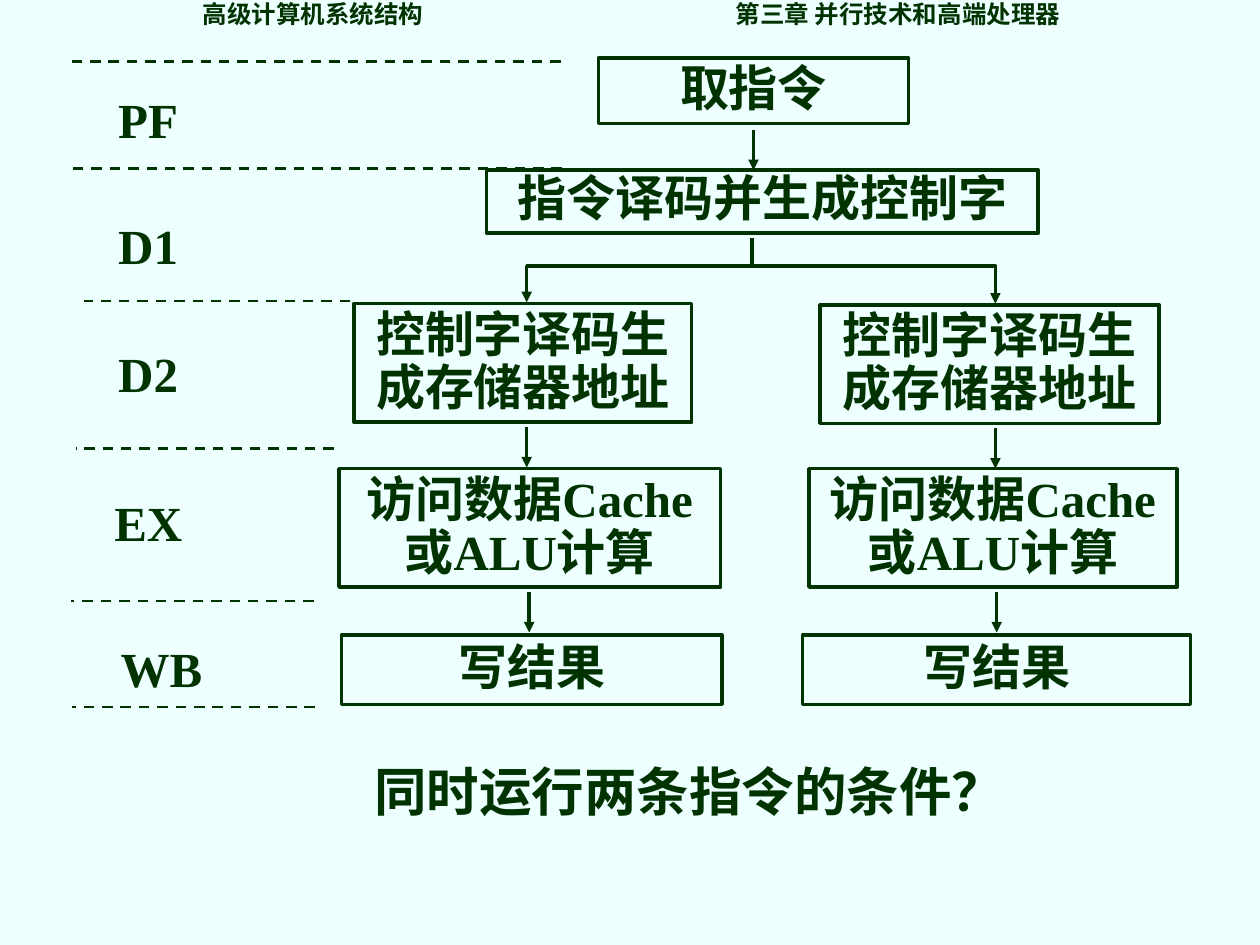
from dataclasses import dataclass
from lxml.etree import SubElement
from pptx import Presentation
from pptx.dml.color import RGBColor
from pptx.enum.dml import MSO_LINE
from pptx.enum.shapes import MSO_CONNECTOR, MSO_SHAPE
from pptx.enum.text import MSO_ANCHOR, MSO_AUTO_SIZE, PP_ALIGN
from pptx.oxml.ns import qn
from pptx.util import Inches, Pt


@dataclass(frozen=True)
class Theme:
    ink: RGBColor = RGBColor(0x00, 0x33, 0x00)
    back: RGBColor = RGBColor(0xED, 0xFF, 0xFF)
    latin: str = "Times New Roman"
    asian: str = "Noto Sans CJK SC"
    body: float = 28
    title: float = 30
    head: float = 14
    line: float = 2
    rule: float = 1.5


COLS, ROWS = 100, 75


def put(item, form):
    for name, value in form.items():
        setattr(item, name, value)


class Sheet:
    """Draws on one slide; lengths are grid columns and rows."""

    def __init__(self, deck, theme):
        self.theme = theme
        self.wide, self.high = deck.slide_width, deck.slide_height
        self.slide = deck.slides.add_slide(deck.slide_layouts[5])
        fill = self.slide.background.fill
        fill.solid()
        fill.fore_color.rgb = theme.back

    def spot(self, col, row):
        return round(col * self.wide / COLS), round(row * self.high / ROWS)

    def area(self, at):
        return *self.spot(*at[:2]), *self.spot(*at[2:])

    def letter(self, shape, text, size, align=PP_ALIGN.LEFT, gap=1.0,
               latin=None, wrap=True, tab=None):
        frame = shape.text_frame
        put(frame, {"word_wrap": wrap, "vertical_anchor": MSO_ANCHOR.TOP,
                    "auto_size": MSO_AUTO_SIZE.SHAPE_TO_FIT_TEXT})
        para = frame.paragraphs[0]
        put(para, {"alignment": align, "line_spacing": gap, "space_before": Pt(0)})
        if tab:
            stops = SubElement(para._p.get_or_add_pPr(), qn("a:tabLst"))
            SubElement(stops, qn("a:tab"), pos=str(self.spot(tab, 0)[0]), algn="l")
        run = para.add_run()
        run.text = text
        put(run.font, {"size": Pt(size), "bold": True,
                       "name": latin or self.theme.latin})
        run.font.color.rgb = self.theme.ink
        SubElement(run._r.get_or_add_rPr(), qn("a:ea"), typeface=self.theme.asian)

    def stroke(self, shape, width, ends=(), dash=None):
        put(shape.line, {"width": Pt(width), "dash_style": dash})
        shape.line.color.rgb = self.theme.ink
        for end in ends:
            SubElement(shape.line._get_or_add_ln(), qn(f"a:{end}"), type="triangle")

    def title(self, at, text):
        shape = self.slide.shapes.title
        put(shape, dict(zip(("left", "top", "width", "height"), self.area(at))))
        self.letter(shape, text, self.theme.title, PP_ALIGN.CENTER, 0.95)

    def label(self, at, text, size=None, **form):
        shape = self.slide.shapes.add_textbox(*self.area(at))
        self.letter(shape, text, size or self.theme.body, **form)

    def box(self, at, text, gap=0.9):
        shape = self.slide.shapes.add_shape(MSO_SHAPE.RECTANGLE, *self.area(at))
        shape.shadow.inherit = False
        shape.fill.background()
        self.stroke(shape, self.theme.line)
        self.letter(shape, text, self.theme.body, PP_ALIGN.CENTER, gap)

    def link(self, start, stop, width=None, ends=(), dash=None):
        line = self.slide.shapes.add_connector(
            MSO_CONNECTOR.STRAIGHT, *self.spot(*start), *self.spot(*stop))
        self.stroke(line, width or self.theme.line, ends, dash)
        SubElement(line._element.spPr, qn("a:effectLst"))

    def arrow(self, col, row, drop=3.2):
        self.link((col, row), (col, row + drop), ends=["tailEnd"])

    def rule(self, left, right, row):
        self.link((right, row), (left, row), self.theme.rule, dash=MSO_LINE.DASH)

    def fork(self, *spots):
        first, *rest = [self.spot(*spot) for spot in spots]
        pen = self.slide.shapes.build_freeform(*first)
        pen.add_line_segments(rest, close=False)
        shape = pen.convert_to_shape()
        shape.shadow.inherit = False
        shape.fill.background()
        self.stroke(shape, self.theme.line, ["headEnd", "tailEnd"])


def main():
    deck = Presentation()
    put(deck, {"slide_width": Inches(10), "slide_height": Inches(7.5)})
    theme = Theme()
    sheet = Sheet(deck, theme)

    # Running head
    sheet.label((15.1, 0.1, 70.1, 2.7), "高级计算机系统结构\t第三章 并行技术和高端处理器",
                theme.head, gap=0.7, latin=theme.asian, wrap=False, tab=42.3)

    # Shared stages: fetch and first decode
    sheet.box((47.5, 4.6, 24.6, 5.2), "取指令")
    sheet.arrow(59.8, 10.3)
    sheet.box((38.6, 13.5, 43.8, 5), "指令译码并生成控制字", 0.85)
    sheet.link((59.7, 18.9), (59.7, 21.1))
    sheet.fork((41.8, 24), (41.8, 21.1), (79, 21.1), (79, 24.1))

    # Two pipelines: left and width of each stage, then arrow columns
    pipes = [
        ((28.1, 26.8), (26.9, 30.3), (27.1, 30.2), (41.8, 42), 24.1),
        ((65.1, 26.9), (64.2, 29.2), (63.7, 30.8), (79, 79.1), 24.2),
    ]
    for decode, run, save, cols, top in pipes:
        sheet.box((decode[0], top, decode[1], 9.4), "控制字译码生成存储器地址")
        sheet.box((run[0], 37.2, run[1], 9.4), "访问数据Cache或ALU计算")
        sheet.box((save[0], 50.4, save[1], 5.5), "写结果", 0.95)
        for col, row in zip(cols, (top + 9.8, 47)):
            sheet.arrow(col, row)

    # Stage names, each with the rule below it
    sheet.rule(5.5, 44.5, 4.9)
    stages = [
        ("PF", 8.4, 6.6, (5.7, 44.6, 13.4)),
        ("D1", 8.4, 16.6, (6.7, 27.8, 23.9)),
        ("D2", 8.4, 26.8, (6, 26.5, 35.6)),
        ("EX", 8.1, 38.6, (5.6, 24.9, 47.7)),
        ("WB", 8.6, 50.2, (5.7, 25, 56.1)),
    ]
    for name, left, top, rule in stages:
        sheet.label((left, top, 10.3, 5.7), name)
        sheet.rule(*rule)

    # Closing question
    sheet.title((27.4, 60.1, 54.6, 5.8), "同时运行两条指令的条件？")

    deck.save("out.pptx")


if __name__ == "__main__":
    main()
